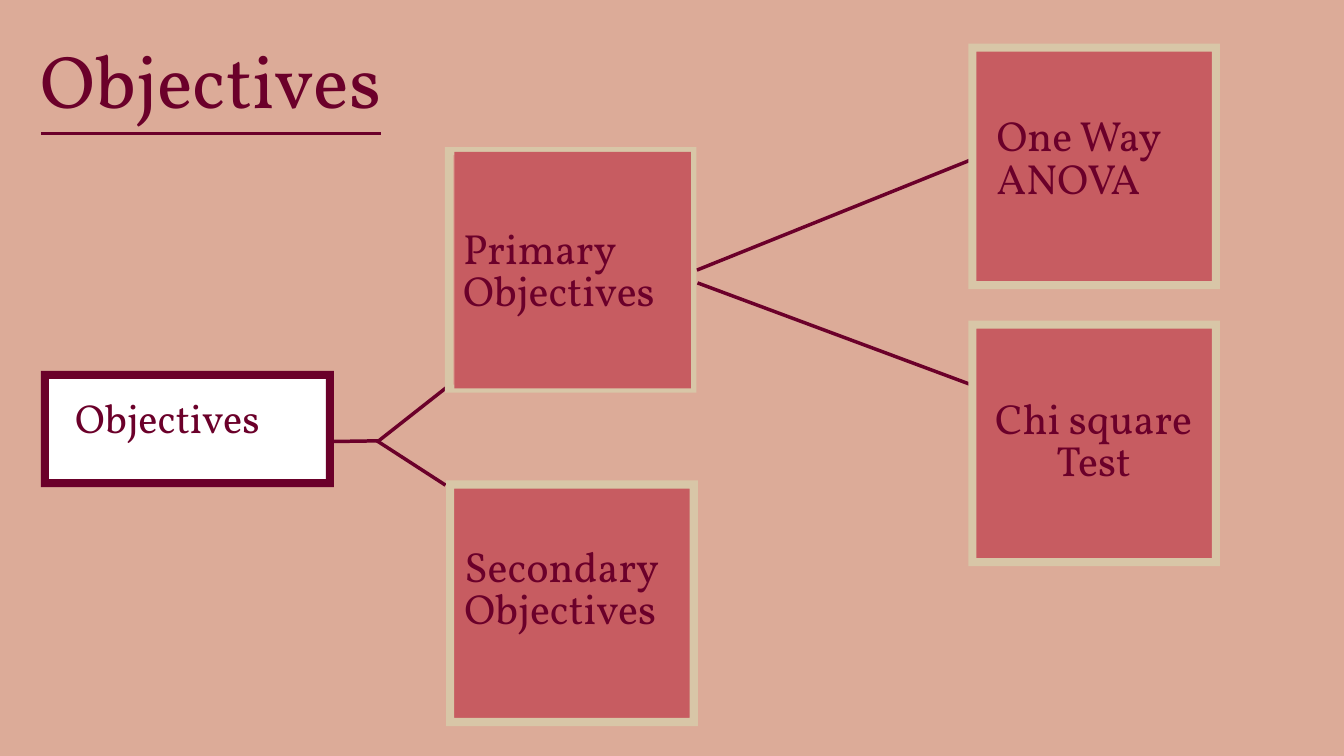
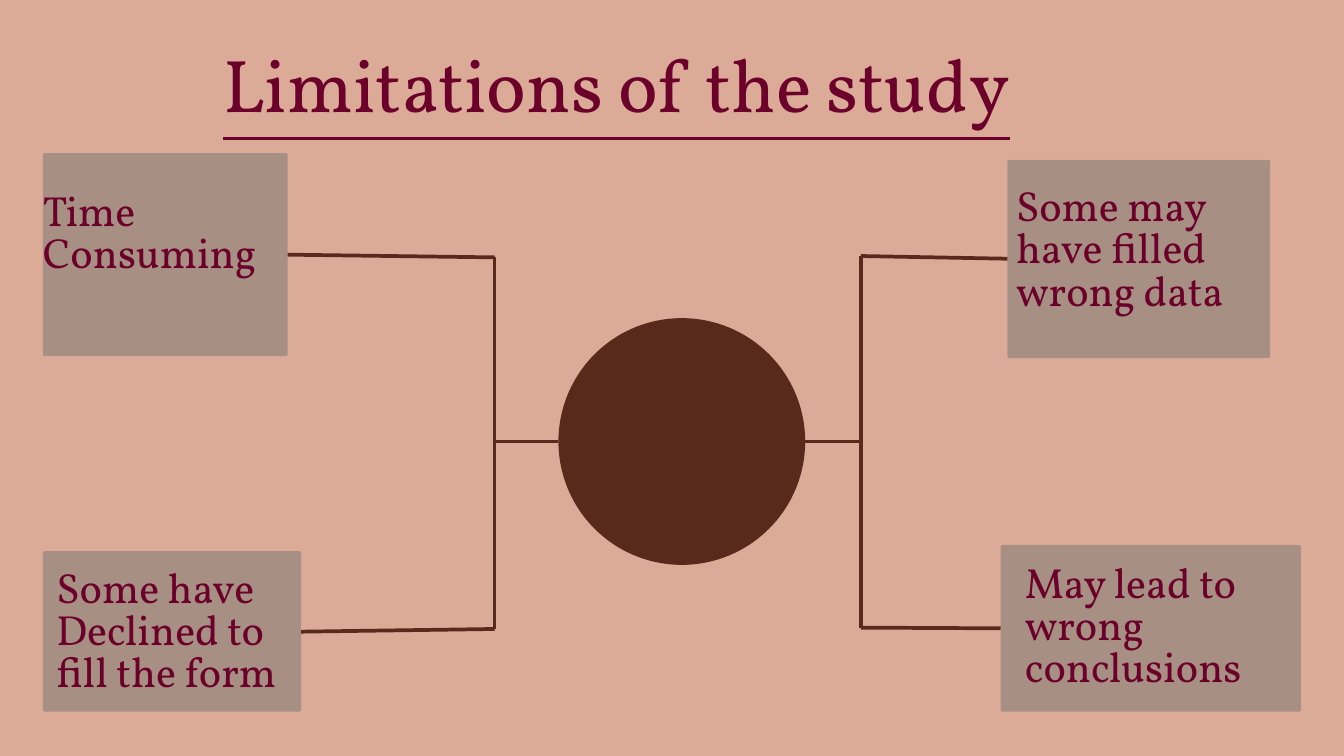
from dataclasses import dataclass

from lxml.etree import SubElement
from pptx import Presentation
from pptx.dml.color import RGBColor
from pptx.enum.shapes import MSO_CONNECTOR as Connector, MSO_SHAPE as Shape
from pptx.enum.text import MSO_AUTO_SIZE as AutoSize, PP_ALIGN as Align
from pptx.oxml.ns import qn
from pptx.util import Inches, Pt

SLIDE_WIDTH = Inches(20)
SLIDE_HEIGHT = Inches(11.25)
COLUMNS = 100


@dataclass(frozen=True)
class Theme:
    font: str = "Vollkorn"
    background: str = "DCAB98"
    ink: str = "6B002A"
    panel: str = "C75C61"
    frame: str = "D8C6A7"
    paper: str = "FFFFFF"
    hub: str = "59291B"
    card: str = "A88F83"
    title_size: float = 80
    label_size: float = 45.1
    root_size: float = 43.4
    tree_line: float = 3.75
    hub_line: float = 4
    border: float = 0.6
    corner: float = 0.15


THEME = Theme()


@dataclass(frozen=True)
class Box:
    left: float
    top: float
    width: float
    height: float

    def inner_box(self, left, top, width, height):
        return Box(self.left + left, self.top + top, width, height)

    def emu(self):
        return [grid(value) for value in (self.left, self.top, self.width, self.height)]

    @property
    def short_side(self):
        return min(self.width, self.height)


def grid(cells):
    return round(cells * SLIDE_WIDTH / COLUMNS)


def color(code):
    return RGBColor.from_string(code)


def add_block(slide, kind, box, fill, adjustment=None):
    shape = slide.shapes.add_shape(kind, *box.emu())
    shape.shadow.inherit = False
    shape.fill.solid()
    shape.fill.fore_color.rgb = color(fill)
    shape.line.fill.background()
    if adjustment is not None:
        shape.adjustments[0] = adjustment / box.short_side


def add_line(slide, start, end, line_color, width):
    points = [grid(value) for value in (*start, *end)]
    connector = slide.shapes.add_connector(Connector.STRAIGHT, *points)
    connector.line.color.rgb = color(line_color)
    connector.line.width = Pt(width)
    SubElement(connector._element.spPr, qn("a:effectLst"))


def add_text(slide, box, lines, size, align=Align.LEFT, underline=None):
    frame = slide.shapes.add_textbox(*box.emu()).text_frame
    frame.margin_left = frame.margin_top = frame.margin_right = frame.margin_bottom = 0
    frame.word_wrap = True
    frame.auto_size = AutoSize.SHAPE_TO_FIT_TEXT
    for index, line in enumerate(lines):
        paragraph = frame.add_paragraph() if index else frame.paragraphs[0]
        paragraph.alignment = align
        paragraph.line_spacing = Pt(size)
        run = paragraph.add_run()
        run.text = line
        run.font.name = THEME.font
        run.font.size = Pt(size)
        run.font.color.rgb = color(THEME.ink)
        run.font.underline = underline


def add_slide(presentation, title, title_box):
    slide = presentation.slides.add_slide(presentation.slide_layouts[6])
    slide.background.fill.solid()
    slide.background.fill.fore_color.rgb = color(THEME.background)
    add_text(slide, title_box, [title], THEME.title_size, underline=True)
    return slide


def add_root(slide, box):
    inset = THEME.border / 2
    paper = box.inner_box(inset, inset, box.width - 2 * inset, box.height - 2 * inset)
    add_block(slide, Shape.RECTANGLE, paper, THEME.paper)
    add_block(slide, Shape.FRAME, box, THEME.ink, THEME.border)
    add_text(slide, box.inner_box(2.55, 2.25, 30.65, 3.2), ["Objectives"], THEME.root_size)


def add_node(slide, box, lines, text_at, align=Align.LEFT, panel_at=(0.55, 0.45), panel_on_top=False):
    height = box.width - 1.12 if panel_on_top else box.height - 0.9
    panel = box.inner_box(*panel_at, box.width - 1.12, height)
    blocks = [
        (Shape.RECTANGLE, panel, THEME.panel),
        (Shape.FRAME, box, THEME.frame, THEME.border),
    ]
    for block in reversed(blocks) if panel_on_top else blocks:
        add_block(slide, *block)
    add_text(slide, box.inner_box(*text_at, 16.05, 6.4), lines, THEME.label_size, align)


def add_card(slide, box, lines, text_at):
    add_block(slide, Shape.ROUNDED_RECTANGLE, box, THEME.card, THEME.corner)
    add_text(slide, box.inner_box(*text_at, 18.2, 3.2 * len(lines)), lines, THEME.label_size)


def add_branch(slide, hub_point, trunk_x, trunk_top, trunk_bottom, card_points):
    stem = (trunk_x, hub_point[1])
    top, bottom = (trunk_x, trunk_top), (trunk_x, trunk_bottom)
    segments = [(stem, hub_point), (top, bottom), *zip(card_points, (top, bottom))]
    for start, end in segments:
        add_line(slide, start, end, THEME.hub, THEME.hub_line)


def build_objectives(presentation):
    slide = add_slide(presentation, "Objectives", Box(3.05, 3.6, 56.45, 5.75))
    for start, end in [
        ((24.85, 32.85), (28.2, 32.8)),
        ((28.05, 32.9), (33.2, 28.85)),
        ((28.05, 32.8), (33.15, 36.1)),
        ((51.85, 20.1), (72.6, 11.75)),
        ((51.9, 21.05), (72.6, 28.75)),
    ]:
        add_line(slide, start, end, THEME.ink, THEME.tree_line)
    add_root(slide, Box(3.05, 27.6, 21.8, 8.65))
    size = (18.72, 18.27)
    add_node(slide, Box(33.1, 10.95, *size), ["Primary", "Objectives"], (1.35, 6.2),
             panel_at=(0.7, 0.35), panel_on_top=True)
    add_node(slide, Box(33.2, 35.75, *size), ["Secondary", "Objectives"], (1.35, 5.05))
    add_node(slide, Box(72.05, 3.25, *size), ["One Way", "ANOVA"], (2.1, 5.55))
    add_node(slide, Box(72.05, 23.85, *size), ["Chi square", "Test"], (1.3, 6), Align.CENTER)


def build_limitations(presentation):
    slide = add_slide(presentation, "Limitations of the study", Box(16.6, 3.95, 69, 5.95))
    hub = Box(41.55, 23.67, 18.36, 18.36)
    middle = hub.top + hub.height / 2
    add_block(slide, Shape.OVAL, hub, THEME.hub)
    cards = [
        (Box(3.2, 11.4, 18.2, 15.1), ["Time Consuming"], (0, 2.95)),
        (Box(3.2, 41, 19.2, 11.95), ["Some have", "Declined to", "fill the form"], (1, 1.4)),
        (Box(74.95, 11.9, 19.55, 14.75), ["Some may have filled", "wrong data"], (0.65, 2.1)),
        (Box(74.45, 40.55, 22.35, 12.4), ["May lead to wrong conclusions"], (1.8, 1.5)),
    ]
    for card in cards:
        add_card(slide, *card)
    add_branch(slide, (hub.left, middle), 36.8, 19.15, 46.8, [(21.4, 18.95), (22.4, 47)])
    add_branch(slide, (hub.left + hub.width, middle), 64.05, 19.05, 46.7,
               [(74.95, 19.25), (74.45, 46.75)])


def main():
    presentation = Presentation()
    presentation.slide_width = SLIDE_WIDTH
    presentation.slide_height = SLIDE_HEIGHT
    build_objectives(presentation)
    build_limitations(presentation)
    presentation.save("out.pptx")


if __name__ == "__main__":
    main()
